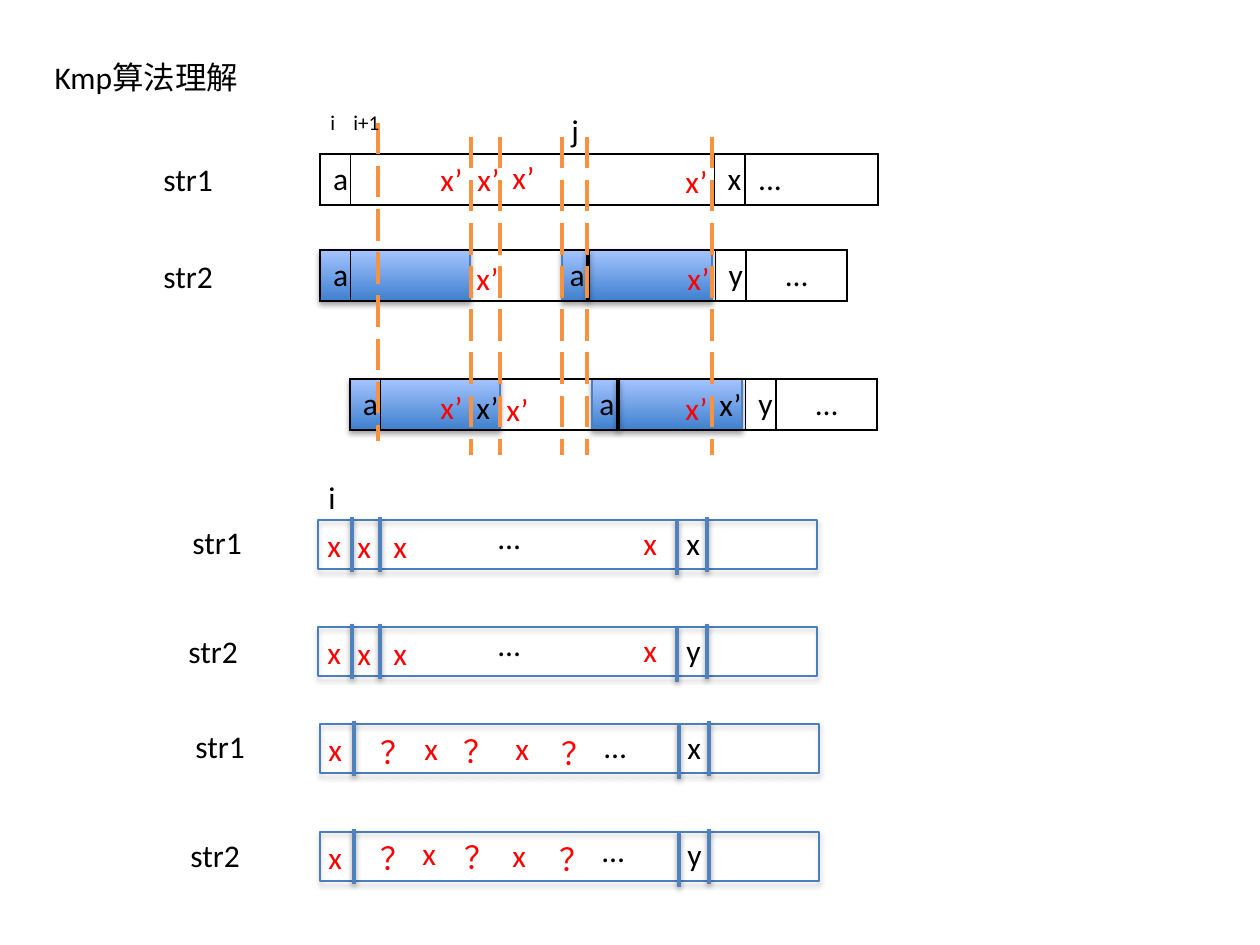
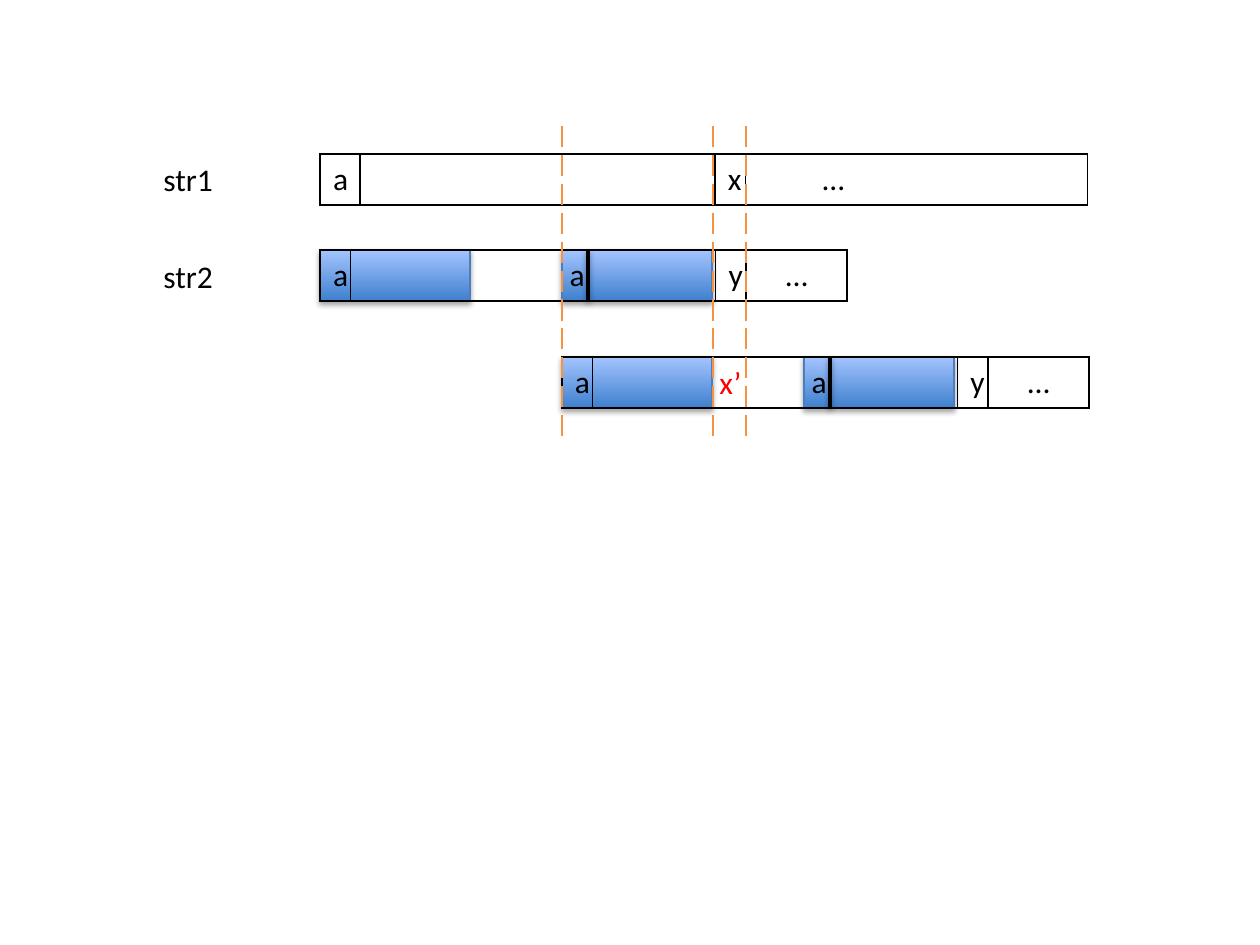
from lxml.etree import SubElement
from pptx import Presentation
from pptx.dml.color import RGBColor
from pptx.enum.dml import MSO_LINE
from pptx.enum.shapes import MSO_CONNECTOR, MSO_SHAPE
from pptx.enum.text import MSO_ANCHOR as ANCHOR, MSO_AUTO_SIZE, PP_ALIGN as ALIGN
from pptx.oxml.ns import qn
from pptx.util import Pt

PX = 914400 // 126  # EMU in one pixel
BLACK, RED, ORANGE = "000000", "FF0000", "F69240"
EDGE, DIVIDER = "4B7EBC", "4F81BD"
BLUE_STOPS = ("3F80CE", "A4C4FF")
FRAME_SHADOW = {"alpha": 35000, "dist": 23000}
LINE_SHADOW = {"alpha": 38000, "dist": 20000}
WIDTHS = {"x": 39, "y": 39, "i": 33, "j": 33, "x’": 48, "…": 48, "？": 57,
          "i+1": 52, "str1": 76, "str2": 76}
ROW_HEIGHT = 51
GUIDE_LENGTH = 318
rgb = RGBColor.from_string


def outline(shape, colour, points, shadow=None):
    """Set the line of a shape or connector and its shadow, if any."""
    shape.line.color.rgb = rgb(colour)
    shape.line.width = Pt(points)
    effects = SubElement(shape._element.spPr, qn("a:effectLst"))
    if shadow:
        outer = SubElement(effects, qn("a:outerShdw"), blurRad="40000",
                           dist=str(shadow["dist"]), dir="5400000", rotWithShape="0")
        black = SubElement(outer, qn("a:srgbClr"), val=BLACK)
        SubElement(black, qn("a:alpha"), val=str(shadow["alpha"]))


def write(frame, words, colour=BLACK, size=18, align=ALIGN.LEFT):
    """Put one formatted line of text into a text frame."""
    paragraph = frame.paragraphs[0]
    paragraph.alignment = align
    run = paragraph.add_run()
    run.text = words
    run.font.color.rgb = rgb(colour)
    for key, value in {"name": "Calibri", "size": Pt(size), "bold": False}.items():
        setattr(run.font, key, value)


# Strings as table rows: each cell is (text, alignment, left margin)
left_a, left_x = ("a", ALIGN.LEFT, 13), ("x", ALIGN.LEFT, 13)
empty = ("", ALIGN.LEFT, 13)
pattern_cells = [("a", ALIGN.CENTER, 13), ("a", ALIGN.LEFT, 219),
                 ("y", ALIGN.CENTER, 13), ("…", ALIGN.CENTER, 13)]
pattern_columns = [30, 365, 30, 101]

kmp_step = {
    "text": (154, [30, 364, 30, 133], [left_a, empty, left_x, ("...", ALIGN.LEFT, 13)]),
    "patterns": [(320, 250), (350, 379)],
    "guides": [(562, 137), (471, 137), (378, 123), (500, 137), (712, 137), (587, 137)],
    "guide_points": 2.25,
    "labels": [("str1", 151, 154, BLACK, 18), ("str2", 151, 251, BLACK, 18),
               ("i", 318, 103, BLACK, 12), ("i+1", 341, 103, BLACK, 12),
               ("j", 559, 105, BLACK, 18), ("i", 316, 472, BLACK, 18),
               ("x’", 707, 379, BLACK, 18), ("x’", 464, 382, BLACK, 18)]
    + [("x’", x, y, RED, 18) for x, y in [
        (673, 156), (675, 253), (465, 154), (464, 253), (673, 383),
        (428, 382), (428, 154), (494, 384), (500, 152)]],
}
kmp_jump = {
    "text": (154, [40, 355, 30, 342], [left_a, empty, left_x, ("...", ALIGN.LEFT, 76)]),
    "patterns": [(320, 250), (562, 357)],
    "guides": [(562, 126), (713, 126), (746, 126)],
    "guide_points": 1.5,
    "labels": [("str1", 151, 154, BLACK, 18), ("str2", 151, 251, BLACK, 18),
               ("x’", 707, 357, RED, 18)],
}

# Framed strings: left, top, divider offsets, and letters as (text, x, drop)
equal_letters = [("x", 315, 0), ("x", 345, 1), ("x", 381, 1), ("x", 631, -2), ("…", 486, -8)]
framed_strings = [
    (318, 520, [34, 62, 389], equal_letters + [("x", 674, -2), ("str1", 180, -3)]),
    (318, 627, [34, 62, 389], equal_letters + [("y", 674, -2), ("str2", 176, -1)]),
    (320, 724, [34, 389], [
        ("x", 316, 0), ("？", 368, 3), ("x", 412, -1), ("？", 451, 2), ("x", 503, -1),
        ("？", 549, 4), ("…", 592, -3), ("x", 675, -2), ("str1", 183, -3)]),
    (320, 832, [34, 389], [
        ("x", 316, 0), ("？", 368, 1), ("x", 410, -4), ("？", 452, 0), ("x", 500, -2),
        ("？", 547, 2), ("…", 590, -7), ("y", 675, -3), ("str2", 178, -2)]),
]
for frame_left, frame_top, offsets, letters in framed_strings:
    for words, x, drop in letters:
        colour = RED if words in "x？" and x < 640 else BLACK
        kmp_step["labels"].append((words, x, frame_top + drop, colour, 18))

deck = Presentation()
deck.slide_width, deck.slide_height = 1260 * PX, 945 * PX
step_slide = deck.slides.add_slide(deck.slide_layouts[5])
jump_slide = deck.slides.add_slide(deck.slide_layouts[6])

heading = step_slide.shapes.title
for key, value in {"left": 42, "top": 52, "width": 210, "height": 50}.items():
    setattr(heading, key, value * PX)
for key, value in {"word_wrap": True, "auto_size": MSO_AUTO_SIZE.NONE,
                   "vertical_anchor": ANCHOR.TOP}.items():
    setattr(heading.text_frame, key, value)
write(heading.text_frame, "Kmp算法理解")

for slide, content in [(step_slide, kmp_step), (jump_slide, kmp_jump)]:
    shapes = slide.shapes
    lines = []  # x, top, length, colour, points, shadow, dash

    # Matching prefix and suffix of each pattern
    strings = [(320, *content["text"], ANCHOR.TOP)]
    for left, top in content["patterns"]:
        for match_left in (left, left + 242):
            match = shapes.add_shape(MSO_SHAPE.RECTANGLE, match_left * PX, top * PX,
                                     150 * PX, ROW_HEIGHT * PX)
            match.fill.gradient()
            match.fill.gradient_angle = 90
            for stop, colour in zip(match.fill.gradient_stops, BLUE_STOPS):
                stop.color.rgb = rgb(colour)
            outline(match, EDGE, 0.75, FRAME_SHADOW)
        strings.append((left, top, pattern_columns, pattern_cells, ANCHOR.BOTTOM))
        lines.append((left + 268, top, ROW_HEIGHT, BLACK, 2, LINE_SHADOW, None))

    for left, top, columns, cells, anchor in strings:
        table = shapes.add_table(1, len(columns), left * PX, top * PX,
                                 sum(columns) * PX, ROW_HEIGHT * PX).table
        table.first_row = table.horz_banding = False
        for index, (width, (words, align, margin)) in enumerate(zip(columns, cells)):
            table.columns[index].width = width * PX
            cell = table.cell(0, index)
            cell.vertical_anchor = anchor
            cell.margin_left = margin * PX
            for side in ("lnL", "lnR", "lnT", "lnB"):
                border = SubElement(cell._tc.get_or_add_tcPr(), qn("a:" + side), w="12700")
                SubElement(SubElement(border, qn("a:solidFill")), qn("a:srgbClr"), val=BLACK)
            cell.fill.background()
            write(cell.text_frame, words, align=align)

    for x, top in content["guides"]:
        lines.append((x, top, GUIDE_LENGTH, ORANGE, content["guide_points"], None,
                      MSO_LINE.LONG_DASH))

    if slide is step_slide:
        for left, top, offsets, letters in framed_strings:
            frame = shapes.add_shape(MSO_SHAPE.RECTANGLE, left * PX, top * PX,
                                     499 * PX, 49 * PX)
            frame.fill.background()
            outline(frame, EDGE, 0.75, FRAME_SHADOW)
            for offset in offsets:
                lines.append((left + offset, top - 3, 55, DIVIDER, 2, LINE_SHADOW, None))
            lines.append((left + 359, top, 55, DIVIDER, 2, LINE_SHADOW, None))

    for x, top, length, colour, points, shadow, dash in lines:
        line = shapes.add_connector(MSO_CONNECTOR.STRAIGHT, x * PX, top * PX,
                                    x * PX, (top + length) * PX)
        outline(line, colour, points, shadow)
        if dash:
            line.line.dash_style = dash

    for words, x, y, colour, size in content["labels"]:
        label = shapes.add_textbox(x * PX, y * PX, WIDTHS[words] * PX,
                                   (50 if size == 18 else 38) * PX)
        label.text_frame.word_wrap = False
        write(label.text_frame, words, colour, size)

deck.save("out.pptx")
